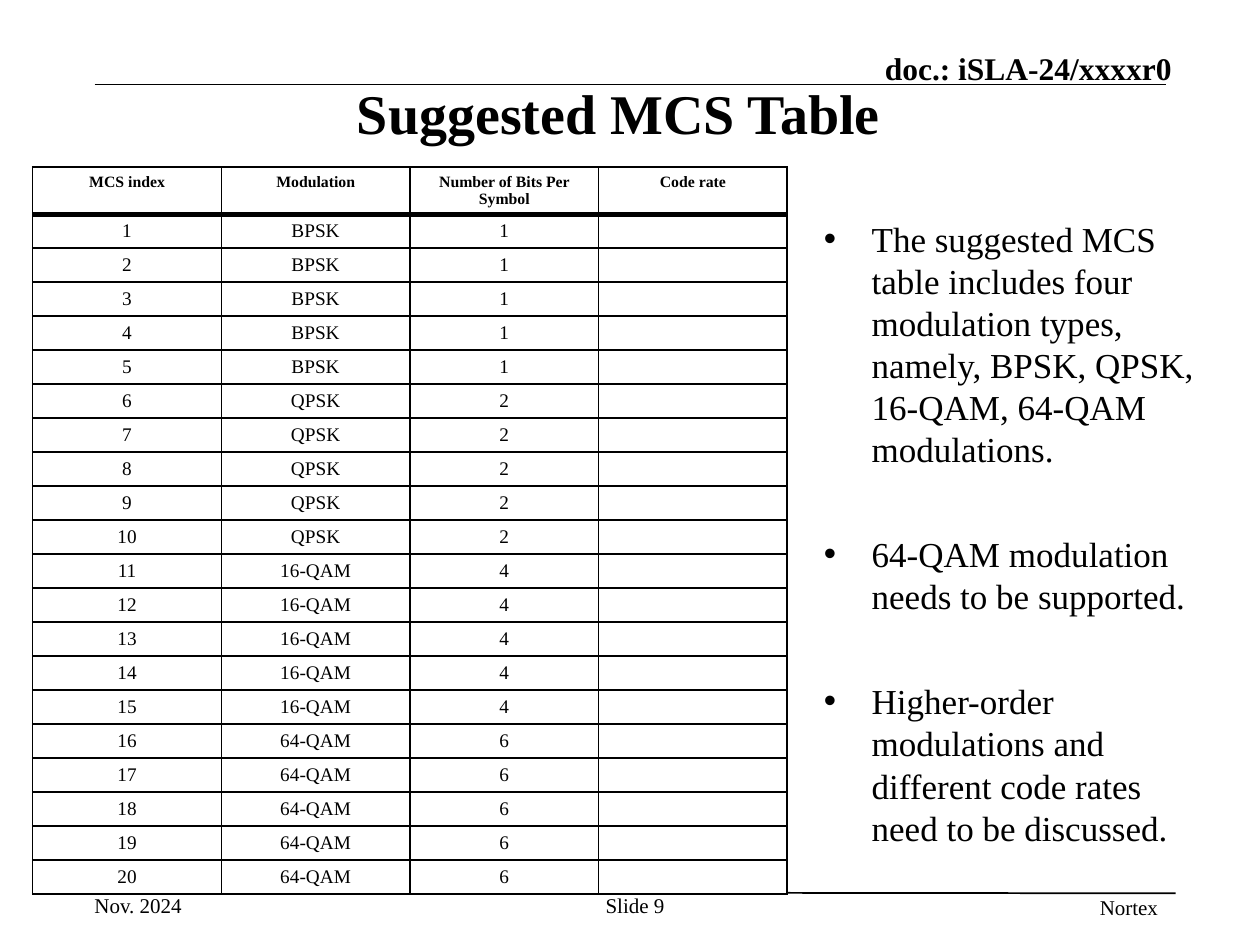
from dataclasses import dataclass

from lxml import etree
from pptx import Presentation
from pptx.dml.color import RGBColor
from pptx.enum.shapes import MSO_CONNECTOR
from pptx.enum.text import MSO_ANCHOR, PP_ALIGN
from pptx.oxml.ns import qn
from pptx.util import Inches, Pt

LEFT, CENTER, RIGHT = PP_ALIGN.LEFT, PP_ALIGN.CENTER, PP_ALIGN.RIGHT
TOP, MIDDLE, BOTTOM = MSO_ANCHOR.TOP, MSO_ANCHOR.MIDDLE, MSO_ANCHOR.BOTTOM
STRAIGHT = MSO_CONNECTOR.STRAIGHT

GRID_COLUMNS, GRID_ROWS = 100, 75


@dataclass(frozen=True)
class Theme:
    font: str = "Times New Roman"
    ink: str = "000000"
    paper: str = "FFFFFF"
    title: int = 32
    body: int = 20
    body_line: int = 24
    body_gap: int = 36
    header: int = 18
    footer: int = 12
    table_head: int = 9
    table_body: int = 11
    thin: int = 1
    thick: int = 3


def write(paragraph, text, *, theme, size, bold=False, align=LEFT):
    paragraph.alignment = align
    if not text:
        end = paragraph._p.get_or_add_endParaRPr()
        end.set("sz", str(size * 100))
        etree.SubElement(end, qn("a:latin"), typeface=theme.font)
        return
    run = paragraph.add_run()
    run.text = text
    run.font.name = theme.font
    run.font.size = Pt(size)
    run.font.bold = bold
    run.font.color.rgb = RGBColor.from_string(theme.ink)


def add_bullet(paragraph, indent):
    """Hang the paragraph by indent inches behind a round bullet."""
    properties = paragraph._p.get_or_add_pPr()
    properties.set("marL", str(Inches(indent)))
    properties.set("indent", str(-Inches(indent)))
    etree.SubElement(properties, qn("a:buFont"), typeface="Arial")
    etree.SubElement(properties, qn("a:buChar"), char="•")


def set_borders(cell, color, **widths):
    """Draw cell borders; widths are points by side: L, R, T, B."""
    properties = cell._tc.get_or_add_tcPr()
    for position, side in enumerate("LRTB"):
        line = etree.Element(qn(f"a:ln{side}"), w=str(Pt(widths[side])))
        fill = etree.SubElement(line, qn("a:solidFill"))
        etree.SubElement(fill, qn("a:srgbClr"), val=color)
        properties.insert(position, line)


class SlideBuilder:
    def __init__(self, presentation, theme):
        self.theme = theme
        self.column = presentation.slide_width / GRID_COLUMNS
        self.row = presentation.slide_height / GRID_ROWS
        self.slide = presentation.slides.add_slide(presentation.slide_layouts[6])

    def place(self, x, y, width, height):
        return (round(x * self.column), round(y * self.row),
                round(width * self.column), round(height * self.row))

    def frame(self, box, anchor, inset, wrap=True):
        frame = self.slide.shapes.add_textbox(*self.place(*box)).text_frame
        frame.word_wrap = wrap
        frame.vertical_anchor = anchor
        frame.margin_left = frame.margin_right = Inches(0.1 if inset else 0)
        frame.margin_top = frame.margin_bottom = Inches(0.05 if inset else 0)
        return frame

    def text(self, text, box, *, anchor=TOP, inset=False, wrap=True, **style):
        frame = self.frame(box, anchor, inset, wrap)
        write(frame.paragraphs[0], text, theme=self.theme, **style)

    def rule(self, x1, y1, x2, y2):
        ends = self.place(x1, y1, x2, y2)
        line = self.slide.shapes.add_connector(STRAIGHT, *ends)
        line.line.width = Pt(self.theme.thin)
        line.line.color.rgb = RGBColor.from_string(self.theme.ink)
        etree.SubElement(line._element.spPr, qn("a:effectLst"))

    def bullets(self, items, box):
        frame = self.frame(box, TOP, inset=True)
        for index, item in enumerate(items):
            paragraph = frame.add_paragraph() if index else frame.paragraphs[0]
            paragraph.line_spacing = Pt(self.theme.body_line)
            paragraph.space_before = Pt(self.theme.body_gap if index else 0)
            add_bullet(paragraph, 0.38)
            write(paragraph, item, theme=self.theme, size=self.theme.body)

    def table(self, records, x, y, column_width, head_height, row_height):
        theme = self.theme
        count, fields = len(records), len(records[0])
        height = head_height + row_height * (count - 1)
        box = self.place(x, y, column_width * fields, height)
        table = self.slide.shapes.add_table(count, fields, *box).table
        table.first_row = table.horz_banding = False
        for index, record in enumerate(records):
            is_head = index == 0
            row_units = head_height if is_head else row_height
            table.rows[index].height = round(row_units * self.row)
            for field, value in enumerate(record):
                cell = table.cell(index, field)
                cell.margin_top, cell.margin_bottom = Inches(0.05), Inches(0.01)
                cell.fill.solid()
                cell.fill.fore_color.rgb = RGBColor.from_string(theme.paper)
                set_borders(cell, theme.ink, L=theme.thin, R=theme.thin,
                            T=theme.thick if index == 1 else theme.thin,
                            B=theme.thick if is_head else theme.thin)
                write(cell.text_frame.paragraphs[0], value, theme=theme,
                      size=theme.table_head if is_head else theme.table_body,
                      bold=is_head, align=CENTER)


def mcs_records():
    """Five consecutive MCS indexes for each modulation, code rates left open."""
    modulations = [("BPSK", 1), ("QPSK", 2), ("16-QAM", 4), ("64-QAM", 6)]
    records = [("MCS index", "Modulation", "Number of Bits Per Symbol", "Code rate")]
    for index in range(20):
        modulation, bits = modulations[index // 5]
        records.append((str(index + 1), modulation, str(bits), ""))
    return records


def main():
    theme = Theme()
    presentation = Presentation()
    presentation.slide_width, presentation.slide_height = Inches(10), Inches(7.5)
    builder = SlideBuilder(presentation, theme)

    builder.rule(7.5, 6.7, 92.5, 6.7)
    builder.rule(7.5, 70.8, 93.3, 70.9)
    builder.text("doc.: iSLA-24/xxxxr0", (54.7, 3.9, 38.3, 3), anchor=BOTTOM,
                 size=theme.header, bold=True, align=RIGHT)
    builder.text("Nov. 2024", (7.5, 70.8, 7, 2), wrap=False, size=theme.footer)
    builder.text("Slide 9", (47.5, 70.8, 5.8, 4), size=theme.footer, align=CENTER)
    builder.text("Nortex", (86.7, 71, 5.8, 4), size=theme.footer, align=CENTER)
    builder.text("Suggested MCS Table", (6.6, 3.1, 85, 11.6), anchor=MIDDLE,
                 inset=True, size=theme.title, bold=True, align=CENTER)
    builder.table(mcs_records(), 2.6, 13.25, column_width=14.97,
                  head_height=3.75, row_height=2.7)
    builder.bullets([
        "The suggested MCS table includes four modulation types, namely, "
        "BPSK, QPSK, 16-QAM, 64-QAM modulations.",
        "64-QAM modulation needs to be supported.",
        "Higher-order modulations and different code rates need to be discussed.",
    ], (64.4, 16.8, 33, 47.6))

    presentation.save("out.pptx")


if __name__ == "__main__":
    main()
